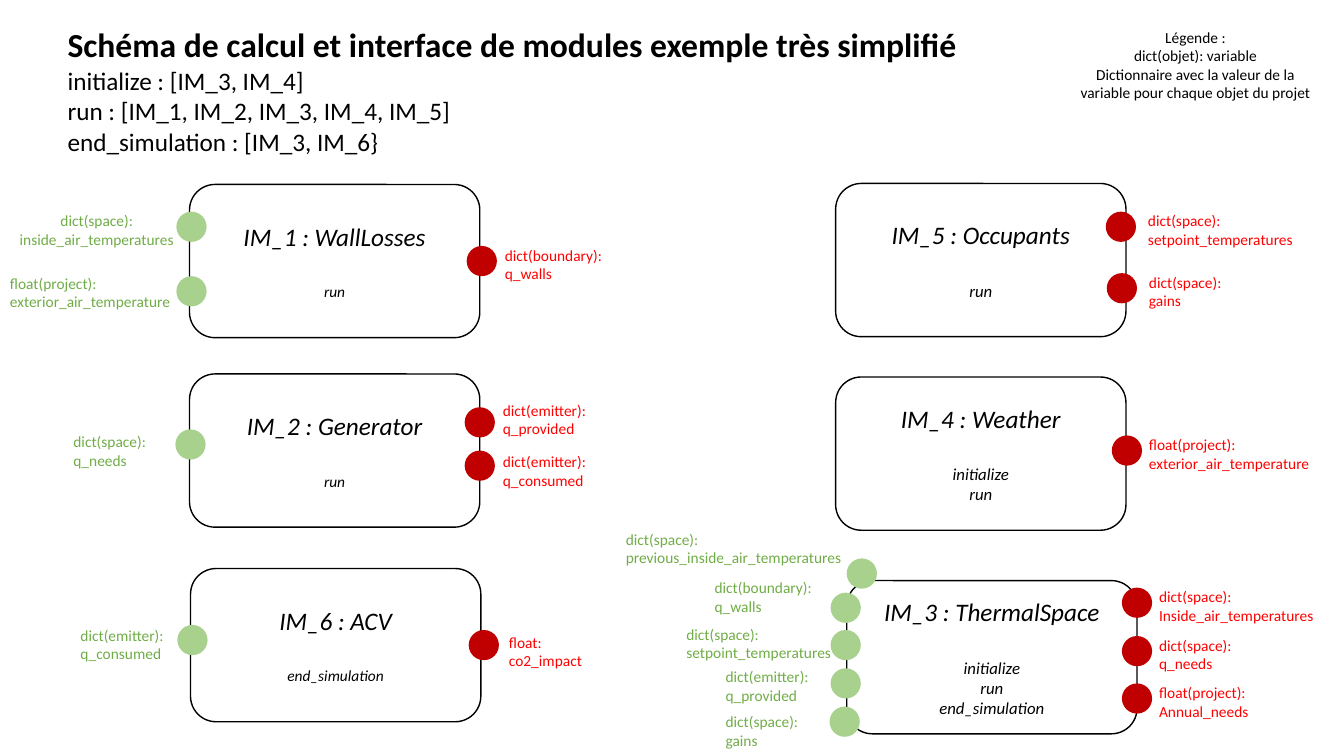
"""Build the slide of the simplified calculation modules and their interfaces."""
from pptx import Presentation
from pptx.dml.color import RGBColor
from pptx.enum.shapes import MSO_SHAPE as Preset
from pptx.enum.text import MSO_ANCHOR as Anchor, MSO_AUTO_SIZE as AutoSize, PP_ALIGN as Align
from pptx.oxml.ns import qn
from pptx.util import Emu, Inches, Pt
from lxml.etree import SubElement

WIDTH, HEIGHT = Inches(13.333), Inches(7.5)
ROWS = 75
CELL = HEIGHT / ROWS
MODULE_SIZE = 28.8, 15.2
DOT = 3
LABEL_HEIGHT = 4.7
FONT = "Calibri"
COLOURS = {
    "text": "000000",
    "module": "FFFFFF",
    "input": "A9D18E",
    "input label": "70AD47",
    "output": "C00000",
    "output label": "FF0000",
}

HEADING = "Schéma de calcul et interface de modules exemple très simplifié"
PHASES = "initialize : [IM_3, IM_4]\nrun : [IM_1, IM_2, IM_3, IM_4, IM_5]\nend_simulation : [IM_3, IM_6}"
LEGEND = ("Légende :\ndict(objet): variable\n"
          "Dictionnaire avec la valeur de la variable pour chaque objet du projet")

# Modules: left, top, phase size, lines
MODULES = [
    (18.8, 18.3, 11, "IM_1 : WallLosses\nrun"),
    (18.8, 37.1, 11, "IM_2 : Generator\nrun"),
    (84, 57.6, 12, "IM_3 : ThermalSpace\ninitialize\nrun\nend_simulation"),
    (82.9, 37.4, 12, "IM_4 : Weather\ninitialize\nrun"),
    (82.9, 18.2, 12, "IM_5 : Occupants\nrun"),
    (18.9, 56.4, 11, "IM_6 : ACV\nend_simulation"),
]

# Ports: dot left and top, label left, top and width, wording
INPUTS = [
    (17.5, 21, 0.5, 20.5, 18.2, "dict(space):\ninside_air_temperatures"),
    (17.5, 27.4, 0, 26.7, 18.3, "float(project):\nexterior_air_temperature"),
    (17.4, 42.6, 6.3, 42.4, 15.4, "dict(space):\nq_needs"),
    (17.6, 62, 7, 61.6, 14.1, "dict(emitter): q_consumed"),
    (84, 55.4, 61.1, 52.1, 27.3, "dict(space):\nprevious_inside_air_temperatures"),
    (82.4, 58.8, 69.9, 56.9, 14.5, "dict(boundary):\nq_walls"),
    (82.4, 62.5, 67.1, 61.5, 18.8, "dict(space):\nsetpoint_temperatures"),
    (82.4, 66.3, 71, 65.7, 13, "dict(emitter):\nq_provided"),
    (82.3, 70.1, 71, 70.2, 12.3, "dict(space):\ngains"),
]
OUTPUTS = [
    (46.3, 24.4, 49.1, 23.9, 18.7, "dict(boundary):\nq_walls"),
    (46.1, 40.4, 48.9, 39.3, 29.8, "dict(emitter):\nq_provided"),
    (46.1, 44.7, 48.9, 44.4, 29.8, "dict(emitter):\nq_consumed"),
    (46.5, 62.5, 49.5, 62.3, 11.1, "float:\nco2_impact"),
    (111.3, 58.3, 114, 57.8, 18.4, "dict(space):\nInside_air_temperatures"),
    (111.3, 63.1, 114, 62.6, 19, "dict(space):\nq_needs"),
    (111.3, 67.8, 114, 67.3, 19, "float(project):\nAnnual_needs"),
    (110.3, 43.2, 113, 42.7, 18.4, "float(project):\nexterior_air_temperature"),
    (109.7, 21, 112.9, 20.5, 16.9, "dict(space):\nsetpoint_temperatures"),
    (109.8, 27.1, 113, 26.6, 19.4, "dict(space):\ngains"),
]


def cells(*lengths):
    """Turn numbers of grid cells into slide lengths."""
    return [Emu(round(length * CELL)) for length in lengths]


def colour(key):
    """Look up a named colour."""
    return RGBColor.from_string(COLOURS[key])


def style(paragraph, size, key="text", align=Align.LEFT, bold=False, italic=False):
    """Format a paragraph and its runs."""
    paragraph.alignment = align
    for run in paragraph.runs:
        run.font.name = FONT
        run.font.size = Pt(size)
        run.font.bold = bold
        run.font.italic = italic
        run.font.color.rgb = colour(key)


def fill_placeholder(holder, box, wording, size, bold=False):
    """Place a template placeholder and write its unbulleted lines."""
    holder.left, holder.top, holder.width, holder.height = cells(*box)
    frame = holder.text_frame
    frame.text = wording
    frame.auto_size = AutoSize.NONE
    frame.vertical_anchor = Anchor.TOP
    for paragraph in frame.paragraphs:
        style(paragraph, size, bold=bold)
        paragraph.space_before = Pt(0)
        properties = paragraph._p.get_or_add_pPr()
        properties.set("marL", "0")
        properties.set("indent", "0")
        SubElement(properties, qn("a:buNone"))


def add_label(slide, box, wording, key="text", align=Align.LEFT):
    """Add a small wrapped label."""
    frame = slide.shapes.add_textbox(*cells(*box)).text_frame
    frame.word_wrap = True
    frame.auto_size = AutoSize.SHAPE_TO_FIT_TEXT
    frame.text = wording
    for paragraph in frame.paragraphs:
        style(paragraph, 11, key, align)


def add_outline(slide, preset, box, key):
    """Add a filled preset shape without line or shadow."""
    outline = slide.shapes.add_shape(preset, *cells(*box))
    outline.shadow.inherit = False
    outline.fill.solid()
    outline.fill.fore_color.rgb = colour(key)
    outline.line.fill.background()
    return outline


def add_module(slide, left, top, phase_size, wording):
    """Add a rounded module with its name above its phases."""
    module = add_outline(slide, Preset.ROUNDED_RECTANGLE, (left, top, *MODULE_SIZE), "module")
    module.line.color.rgb = colour("text")
    module.line.width = Pt(1)
    frame = module.text_frame
    frame.text = wording
    frame.vertical_anchor = Anchor.MIDDLE
    name, *phases = frame.paragraphs
    style(name, 18, align=Align.CENTER, italic=True)
    for phase in phases:
        style(phase, phase_size, align=Align.CENTER, italic=True)
    phases[0].space_before = Pt(22)


def add_port(slide, kind, port, align=Align.LEFT):
    """Add the dot and the label of an input or output."""
    dot_left, dot_top, left, top, width, wording = port
    add_outline(slide, Preset.OVAL, (dot_left, dot_top, DOT, DOT), kind)
    add_label(slide, (left, top, width, LABEL_HEIGHT), wording, f"{kind} label", align)


def main():
    """Build and save the slide."""
    deck = Presentation()
    deck.slide_width, deck.slide_height = WIDTH, HEIGHT
    slide = deck.slides.add_slide(deck.slide_layouts[1])
    fill_placeholder(slide.shapes.title, (5.7, 1.9, 100, 5), HEADING, 24, bold=True)
    fill_placeholder(slide.placeholders[1], (5.7, 6, 100, 10), PHASES, 18)
    add_label(slide, (105.7, 2.3, 25.8, 8.4), LEGEND, align=Align.CENTER)
    for module in MODULES:
        add_module(slide, *module)
    inside_air, *other_inputs = INPUTS
    add_port(slide, "input", inside_air, Align.CENTER)
    for port in other_inputs:
        add_port(slide, "input", port)
    for port in OUTPUTS:
        add_port(slide, "output", port)
    deck.save("out.pptx")


if __name__ == "__main__":
    main()
